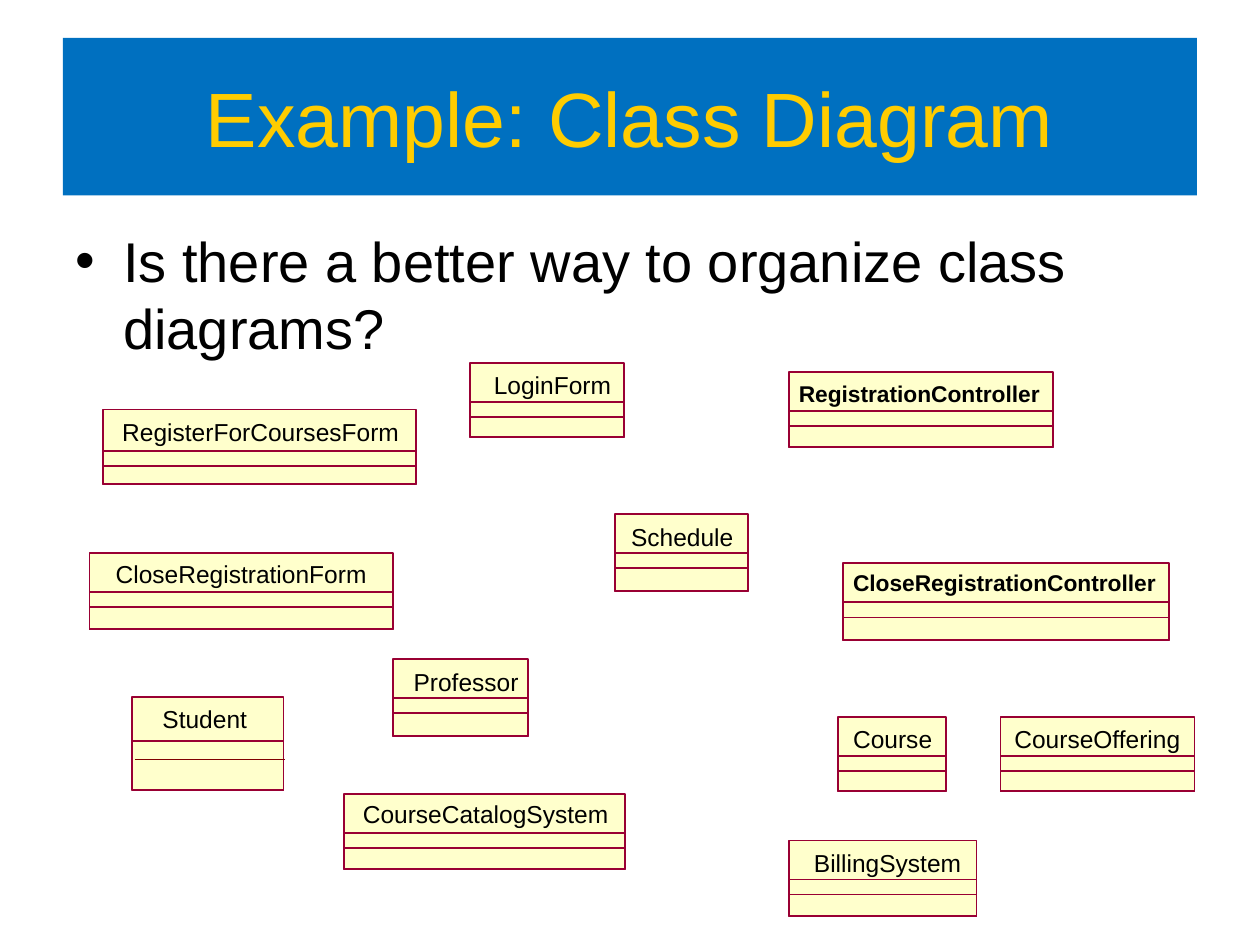
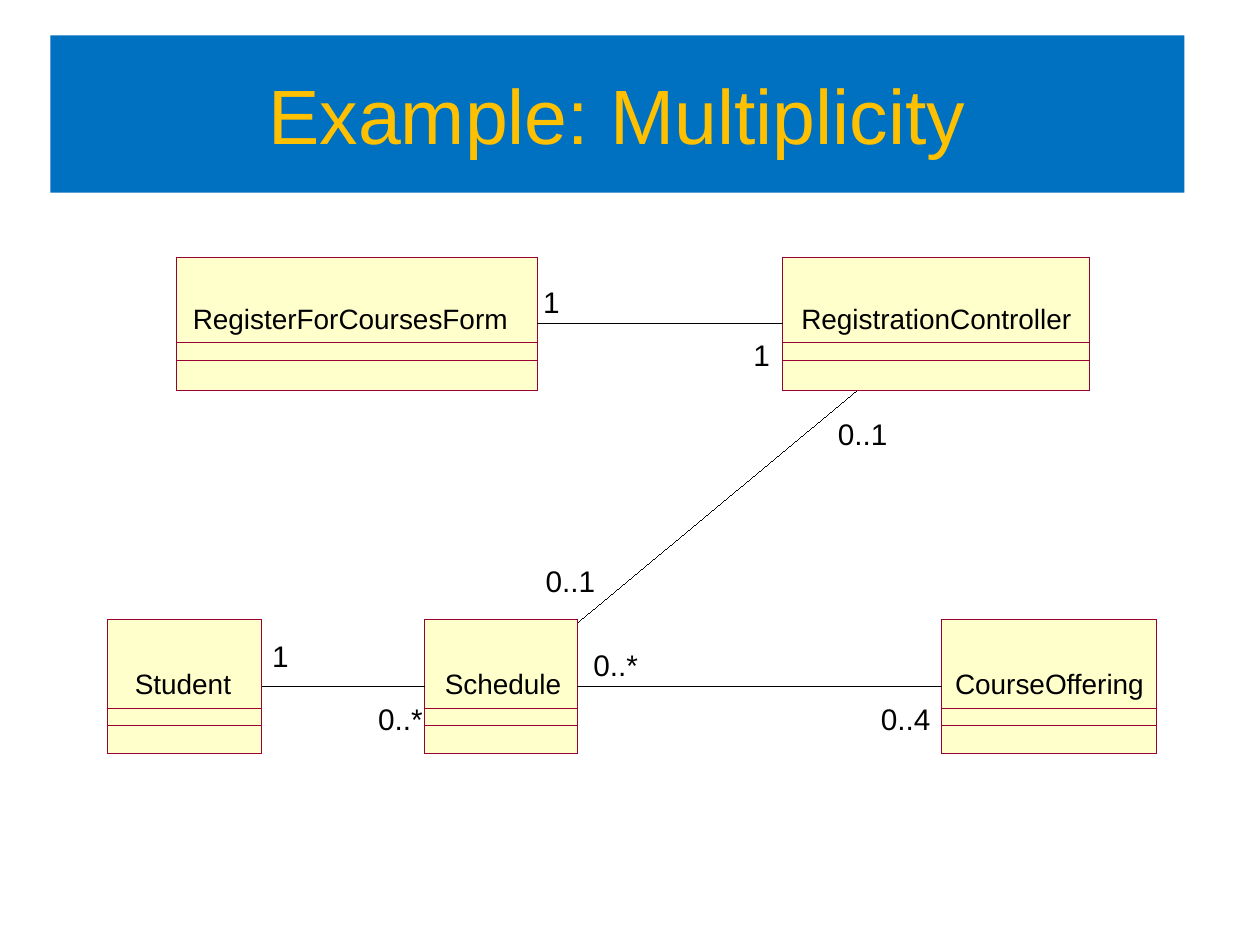
from dataclasses import dataclass
from lxml.etree import SubElement
from pptx import Presentation
from pptx.dml.color import RGBColor
from pptx.enum.shapes import MSO_CONNECTOR, MSO_SHAPE
from pptx.enum.text import MSO_ANCHOR, MSO_AUTO_SIZE, PP_ALIGN
from pptx.oxml.ns import qn
from pptx.util import Inches, Pt


@dataclass(frozen=True)
class Theme:
    font: str = "Arial"
    band: str = "0070C0"
    gold: str = "FFCC00"
    amber: str = "FFC000"
    ink: str = "000000"
    cream: str = "FFFFCC"
    wine: str = "990033"
    maroon: str = "800000"
    title: int = 44
    body: int = 32
    name: int = 14
    strong: int = 13
    large: int = 16
    count: int = 17
    hair: float = 0.01  # thinnest line


T = Theme()
LEFT, RIGHT = 1, 3  # connection sites of a rectangle


def color(code):
    return RGBColor.from_string(code)


def style(para, size, code=T.ink, bold=False, align=PP_ALIGN.LEFT):
    para.alignment = align
    font = para.font
    font.name, font.size, font.bold = T.font, Pt(size), bold
    font.color.rgb = color(code)


def rect(shapes, x, y, w, h, fill=None, line=None, width=T.hair):
    box = shapes.add_shape(MSO_SHAPE.RECTANGLE, Inches(x), Inches(y), Inches(w), Inches(h))
    box.shadow.inherit = False
    if fill:
        box.fill.solid()
        box.fill.fore_color.rgb = color(fill)
    else:
        box.fill.background()
    if line:
        box.line.color.rgb = color(line)
        box.line.width = Pt(width)
    else:
        box.line.fill.background()
    return box


def label(shapes, text, x, y, w, size, **look):
    """Unwrapped text without margins; its height follows the type size."""
    slack = 0.01  # room on each side so that the text stays on one line
    box = shapes.add_textbox(Inches(x - slack), Inches(y), Inches(w + 2 * slack), Inches(round(size / 60, 2)))
    frame = box.text_frame
    frame.word_wrap = False
    frame.auto_size = MSO_AUTO_SIZE.SHAPE_TO_FIT_TEXT
    frame.margin_left = frame.margin_right = frame.margin_top = frame.margin_bottom = 0
    frame.text = text
    style(frame.paragraphs[0], size, **look)


def rule(shapes, x1, y1, x2, y2, code=T.ink, width=T.hair):
    line = shapes.add_connector(MSO_CONNECTOR.STRAIGHT, Inches(x1), Inches(y1), Inches(x2), Inches(y2))
    line.line.color.rgb = color(code)
    line.line.width = Pt(width)
    SubElement(line._element.spPr, qn("a:effectLst"))
    return line


def link(shapes, start, end):
    """Association from the right side of one class to the left side of another."""
    line = rule(shapes, 0, 0, 1, 1)
    line.begin_connect(start, RIGHT)
    line.end_connect(end, LEFT)


def title(slide, text, x, y, code):
    band = rect(slide.shapes, x, y, 9, 1.25, T.band)
    frame = band.text_frame
    frame.word_wrap = True
    frame.vertical_anchor = MSO_ANCHOR.MIDDLE
    frame.text = text
    style(frame.paragraphs[0], T.title, code, align=PP_ALIGN.CENTER)


def bullet(slide, text, x, y, w, h):
    box = slide.shapes.add_textbox(Inches(x), Inches(y), Inches(w), Inches(h))
    frame = box.text_frame
    frame.word_wrap = True
    frame.text = text
    para = frame.paragraphs[0]
    props = para._p.get_or_add_pPr()
    props.set("marL", str(Inches(0.38)))
    props.set("indent", str(-Inches(0.38)))
    SubElement(props, qn("a:buFont")).set("typeface", T.font)
    SubElement(props, qn("a:buChar")).set("char", "•")
    style(para, T.body)


def uml(slide, name, box, tag, rows, size, width=T.hair, **look):
    """Class box; tag is the name's (dx, dy, w), rows the tops of the lower parts."""
    x, y, w, h = box
    dx, dy, span = tag
    shapes = slide.shapes.add_group_shape().shapes
    frame = rect(shapes, x, y, w, h, T.cream, T.wine, width)
    for top in rows:
        rect(shapes, x, y + top, w, h - top, None, T.wine, width)
    label(shapes, name, x + dx, y + dy, span, size, **look)
    return frame


def diagram(slide):
    title(slide, "Example: Class Diagram", 0.5, 0.3, T.gold)
    bullet(slide, "Is there a better way to organize class diagrams?", 0.5, 1.75, 9, 4.95)

    # Classes: name, box, name offset and width
    rows = (0.31, 0.43)
    plain = [
        ("CloseRegistrationForm", (0.71, 4.39, 2.41, 0.6), (0.21, 0.05, 1.99), rows),
        ("LoginForm", (3.73, 2.88, 1.22, 0.59), (0.19, 0.06, 0.93), rows),
        ("Professor", (3.12, 5.23, 1.07, 0.61), (0.16, 0.06, 0.84), rows),
        ("BillingSystem", (6.26, 6.67, 1.49, 0.6), (0.2, 0.06, 1.17), rows),
        ("RegisterForCoursesForm", (0.82, 3.25, 2.48, 0.59), (0.15, 0.06, 2.2), (0.33, 0.45)),
        ("Course", (6.65, 5.69, 0.86, 0.59), (0.12, 0.06, 0.63), rows),
        ("CourseCatalogSystem", (2.73, 6.3, 2.23, 0.6), (0.15, 0.04, 1.95), rows),
        ("Student", (1.05, 5.53, 1.2, 0.74), (0.24, 0.06, 0.67), (0.35,)),
        ("CourseOffering", (7.94, 5.69, 1.54, 0.59), (0.11, 0.06, 1.32), rows),
        ("Schedule", (4.88, 4.08, 1.06, 0.61), (0.13, 0.06, 0.81), rows),
    ]
    for name, box, tag, tops in plain:
        uml(slide, name, box, tag, tops, T.name, 1, align=PP_ALIGN.CENTER)
    rule(slide.shapes, 1.07, 6.03, 2.26, 6.03, T.maroon, 0.75)

    # Controllers
    for name, box, tag in [
        ("CloseRegistrationController", (6.69, 4.47, 2.59, 0.61), (0.09, 0.04, 2.4)),
        ("RegistrationController", (6.26, 2.95, 2.1, 0.6), (0.09, 0.06, 1.91)),
    ]:
        uml(slide, name, box, tag, rows, T.strong, 1, bold=True)


def counts(slide):
    title(slide, "Example: Multiplicity", 0.4, 0.28, T.amber)
    shapes = slide.shapes
    rule(shapes, 4.43, 5.07, 6.8, 3.1)

    # Classes in two rows: top, name offset, tops of the lower parts
    upper = (2.04, 0.35, (0.68, 0.82))
    lower = (4.92, 0.37, (0.7, 0.84))
    made = {}
    for name, (top, drop, rows), x, w, dx, span in [
        ("RegisterForCoursesForm", upper, 1.4, 2.87, 0.14, 2.5),
        ("RegistrationController", upper, 6.21, 2.44, 0.16, 2.14),
        ("Student", lower, 0.85, 1.23, 0.23, 0.76),
        ("Schedule", lower, 3.37, 1.21, 0.17, 0.93),
        ("CourseOffering", lower, 7.47, 1.71, 0.12, 1.5),
    ]:
        made[name] = uml(slide, name, (x, top, w, 1.06), (dx, drop, span), rows, T.large)

    # Associations
    for start, end in [
        ("RegisterForCoursesForm", "RegistrationController"),
        ("Student", "Schedule"),
        ("Schedule", "CourseOffering"),
    ]:
        link(shapes, made[start], made[end])

    # Multiplicities
    wide = {"1": 0.13, "0..1": 0.4, "0..4": 0.4, "0..*": 0.36}
    for text, x, y in [
        ("1", 4.32, 2.25), ("1", 5.99, 2.67),
        ("0..1", 6.66, 3.3), ("0..1", 4.34, 4.47),
        ("1", 2.17, 5.06), ("0..*", 3.01, 5.56),
        ("0..*", 4.72, 5.13), ("0..4", 7, 5.56),
    ]:
        label(shapes, text, x, y, wide[text], T.count)


def main():
    deck = Presentation()
    deck.slide_width, deck.slide_height = Inches(10), Inches(7.5)
    for build in (diagram, counts):
        build(deck.slides.add_slide(deck.slide_layouts[6]))
    deck.save("out.pptx")


if __name__ == "__main__":
    main()
